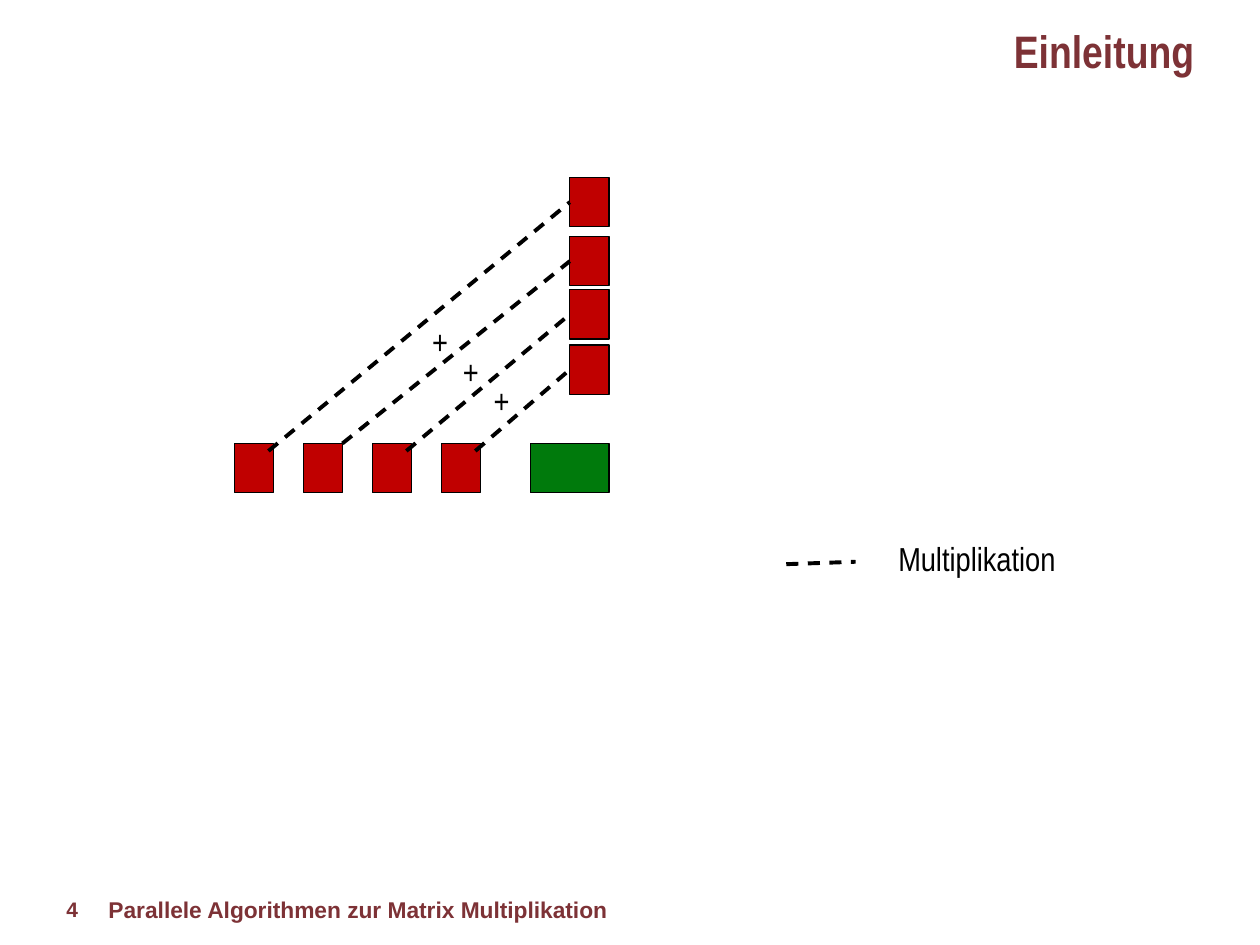
from lxml import etree
from pptx import Presentation
from pptx.dml.color import RGBColor
from pptx.enum import shapes, text
from pptx.oxml import ns
from pptx.util import Pt

MAROON = RGBColor(0x7D, 0x32, 0x36)
RED = RGBColor(0xC0, 0x00, 0x00)
GREEN = RGBColor(0x00, 0x7A, 0x0C)
BLACK = RGBColor(0x00, 0x00, 0x00)

CELL_WIDTH, CELL_HEIGHT = 22.4, 28.1
ROW_LEFT, ROW_TOP, ROW_STEP = 133.9, 253.4, 39.4
COLUMN_LEFT = 325.6
COLUMN_TOPS = (101.5, 135.2, 165.6, 197.2)
# Where each product line leaves its row cell, from the cell's top left corner
LINE_STARTS = ((19.5, 4.3), (22.4, 0), (19.5, 4.3), (19.5, 4.3))


class MatrixSlide:
    def __init__(self, slide, font="Arial Narrow", size=19, color=BLACK):
        self.slide = slide
        self.font, self.size, self.color = font, size, color

    def text(self, box, words, font=None, size=None, color=None, bold=False,
             align=text.PP_ALIGN.LEFT, anchor=text.MSO_ANCHOR.TOP,
             insets=(7.2, 3.6, 7.2, 3.6), wrap=False):
        shape = self.slide.shapes.add_textbox(*map(Pt, box))
        frame = shape.text_frame
        frame.word_wrap = wrap
        frame.vertical_anchor = anchor
        (frame.margin_left, frame.margin_top,
         frame.margin_right, frame.margin_bottom) = map(Pt, insets)
        paragraph = frame.paragraphs[0]
        paragraph.text = words
        paragraph.alignment = align
        paragraph.font.name = font or self.font
        paragraph.font.size = Pt(size or self.size)
        paragraph.font.bold = bold
        paragraph.font.color.rgb = color or self.color

    def cell(self, left, top, fill=RED, width=CELL_WIDTH):
        shape = self.slide.shapes.add_shape(
            shapes.MSO_SHAPE.RECTANGLE, Pt(left), Pt(top), Pt(width), Pt(CELL_HEIGHT))
        shape.shadow.inherit = False
        shape.fill.solid()
        shape.fill.fore_color.rgb = fill
        shape.line.color.rgb = BLACK
        shape.line.width = Pt(0.75)

    def dashed_line(self, start, end):
        connector = self.slide.shapes.add_connector(
            shapes.MSO_CONNECTOR.STRAIGHT, *map(Pt, (*start, *end)))
        connector.line.color.rgb = BLACK
        connector.line.width = Pt(2.25)
        properties = connector.element.spPr
        outline = properties.find(ns.qn("a:ln"))
        dashes = etree.SubElement(outline, ns.qn("a:custDash"))
        etree.SubElement(dashes, ns.qn("a:ds"), d="310000", sp="240000")
        etree.SubElement(properties, ns.qn("a:effectLst"))


def main():
    presentation = Presentation()
    presentation.slide_width, presentation.slide_height = Pt(720), Pt(540)
    page = MatrixSlide(presentation.slides.add_slide(presentation.slide_layouts[6]))

    page.text((-2.2, 507.6, 84.2, 23.8), "4", font="Arial", size=12, color=MAROON,
              bold=True, align=text.PP_ALIGN.CENTER, anchor=text.MSO_ANCHOR.MIDDLE,
              insets=(12.2, 5, 9.4, 5))
    page.text((52.6, 506.9, 326.9, 25.2),
              "Parallele Algorithmen zur Matrix Multiplikation", font="Arial", size=13,
              color=MAROON, bold=True, insets=(9.4, 5, 9.4, 5), wrap=True)
    page.text((573.1, 13, 111.6, 90), "Einleitung", size=26, color=MAROON, bold=True,
              align=text.PP_ALIGN.RIGHT, insets=(5.8, 0, 2.2, 0), wrap=True)

    row_lefts = [ROW_LEFT + index * ROW_STEP for index in range(len(COLUMN_TOPS))]
    for left, top in zip(row_lefts, COLUMN_TOPS):
        page.cell(left, ROW_TOP)
        page.cell(COLUMN_LEFT, top)
    for left, top, (dx, dy) in zip(row_lefts, COLUMN_TOPS, LINE_STARTS):
        page.dashed_line((left + dx, ROW_TOP + dy),
                         (COLUMN_LEFT, top + CELL_HEIGHT / 2))
    for index in range(3):
        page.text((239.8 + index * 17.6, 180 + index * 16.9, 23, 30.2), "+")
    page.cell(303, ROW_TOP, GREEN, width=45)

    page.dashed_line((449.3, 322.4), (488.9, 321))
    page.text((506.2, 303.8, 104.4, 30.2), "Multiplikation")

    presentation.save("out.pptx")


if __name__ == "__main__":
    main()
